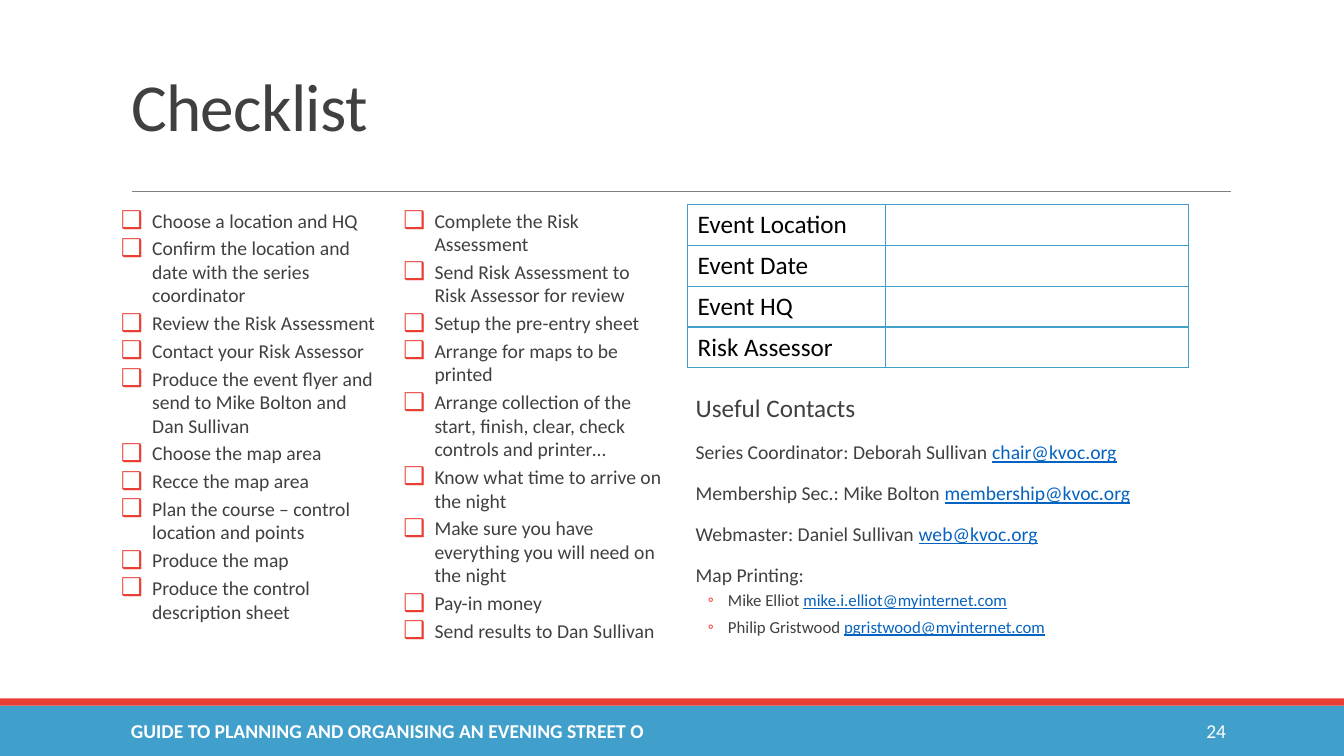
from lxml import etree
from pptx import Presentation
from pptx.dml.color import RGBColor
from pptx.enum.shapes import MSO_CONNECTOR, MSO_SHAPE
from pptx.enum.text import MSO_ANCHOR, MSO_AUTO_SIZE, PP_ALIGN
from pptx.oxml.ns import qn
from pptx.util import Inches, Pt

BLUE = RGBColor(0x41, 0x9F, 0xCB)
RED = RGBColor(0xE9, 0x3E, 0x33)
GREY = RGBColor(0x80, 0x80, 0x80)
DARK = RGBColor(0x40, 0x40, 0x40)
LINK = RGBColor(0x05, 0x63, 0xC1)
BLACK = RGBColor(0, 0, 0)
WHITE = RGBColor(0xFF, 0xFF, 0xFF)
FONT = "Calibri"

TITLE = "Checklist"
TASKS = [
    "Choose a location and HQ",
    "Confirm the location and date with the series coordinator",
    "Review the Risk Assessment",
    "Contact your Risk Assessor",
    "Produce the event flyer and send to Mike Bolton and Dan Sullivan",
    "Choose the map area",
    "Recce the map area",
    "Plan the course – control location and points",
    "Produce the map",
    "Produce the control description sheet",
    "Complete the Risk Assessment",
    "Send Risk Assessment to Risk Assessor for review",
    "Setup the pre-entry sheet",
    "Arrange for maps to be printed",
    "Arrange collection of the start, finish, clear, check controls and printer…",
    "Know what time to arrive on the night",
    "Make sure you have everything you will need on the night",
    "Pay-in money",
    "Send results to Dan Sullivan",
]
CONTACTS = [
    ("Series Coordinator: Deborah Sullivan ", "chair@kvoc.org"),
    ("Membership Sec.: Mike Bolton ", "membership@kvoc.org"),
    ("Webmaster: Daniel Sullivan ", "web@kvoc.org"),
    ("Map Printing:", ""),
]
PRINTERS = [
    ("Mike Elliot ", "mike.i.elliot@myinternet.com"),
    ("Philip Gristwood ", "pgristwood@myinternet.com"),
]
EVENT_FIELDS = ["Event Location", "Event Date", "Event HQ", "Risk Assessor"]
FIELD_WIDTHS = [1.96, 3.01]
FOOTER = "GUIDE TO PLANNING AND ORGANISING AN EVENING STREET O"
PAGE_NUMBER = "24"


def add_span(para, text, size, color=DARK, bold=False, underline=False):
    """Add one formatted run."""
    span = para.add_run()
    span.text = text
    font = span.font
    font.name, font.size, font.bold = FONT, Pt(size), bold
    font.underline = underline
    font.color.rgb = color
    return span


def add_box(page, left, top, width, height, anchor=MSO_ANCHOR.TOP, side=0.1):
    """Add a wrapping text box and return its frame."""
    frame = page.shapes.add_textbox(
        Inches(left), Inches(top), Inches(width), Inches(height)).text_frame
    frame.word_wrap = True
    frame.vertical_anchor = anchor
    frame.margin_left = frame.margin_right = Inches(side)
    return frame


def next_para(frame):
    """Return the unused first paragraph or a new one."""
    first = frame.paragraphs[0]
    return frame.add_paragraph() if first.runs else first


def set_bullet(para, char, margin, hang, percent=100):
    """Give a paragraph a red bullet and a hanging indent."""
    props = para._p.get_or_add_pPr()
    props.set("marL", str(Inches(margin)))
    props.set("indent", str(-Inches(hang)))
    color = etree.SubElement(props, qn("a:buClr"))
    etree.SubElement(color, qn("a:srgbClr"), val=str(RED))
    etree.SubElement(props, qn("a:buSzPct"), val=str(percent * 1000))
    etree.SubElement(props, qn("a:buFont"), typeface=FONT)
    etree.SubElement(props, qn("a:buChar"), char=char)


def add_bar(page, top, height, color):
    """Add a full-width footer bar."""
    bar = page.shapes.add_shape(
        MSO_SHAPE.RECTANGLE, 0, Inches(top), Inches(13.33), Inches(height))
    bar.shadow.inherit = False
    bar.fill.solid()
    bar.fill.fore_color.rgb = color
    bar.line.fill.background()


def add_title(page):
    """Place the title and the rule below it."""
    rule = page.shapes.add_connector(
        MSO_CONNECTOR.STRAIGHT, Inches(1.31), Inches(1.9), Inches(12.21), Inches(1.9))
    rule.line.color.rgb = GREY
    rule.line.width = Pt(0.5)
    etree.SubElement(rule._element.spPr, qn("a:effectLst"))
    title = page.shapes.title
    title.left, title.top = Inches(1.2), Inches(0.31)
    title.width, title.height = Inches(11), Inches(1.59)
    frame = title.text_frame
    frame.auto_size = MSO_AUTO_SIZE.NONE
    frame.vertical_anchor = MSO_ANCHOR.MIDDLE
    para = frame.paragraphs[0]
    para.alignment = PP_ALIGN.LEFT
    para.line_spacing = 0.85
    span = add_span(para, TITLE, 48)
    span.font._element.set("spc", "-50")


def add_checklist(page):
    """Add the tasks in two text columns."""
    frame = add_box(page, 1.2, 2.02, 5.4, 4.4, side=0)
    body = frame._txBody.bodyPr
    body.set("numCol", "2")
    body.set("spcCol", str(Inches(0.2)))
    for task in TASKS:
        para = next_para(frame)
        para.space_before = Pt(3)
        set_bullet(para, "❑", 0.31, 0.31, 125)
        add_span(para, task, 14)


def add_contacts(page):
    """Add the contact list with its e-mail addresses."""
    frame = add_box(page, 6.8, 3.88, 5.4, 2.54, side=0)
    rows = [("Useful Contacts", "", 18, 0)]
    rows += [(*contact, 14, 0) for contact in CONTACTS]
    rows += [(*printer, 12, 1) for printer in PRINTERS]
    for label, email, size, level in rows:
        para = next_para(frame)
        para.level = level
        para.line_spacing = 0.9
        para.space_before = Pt(2 if level else 12)
        para.space_after = Pt(4 if level else 2)
        set_bullet(para, *(("◦", 0.42, 0.2) if level else (" ", 0.1, 0.1)))
        add_span(para, label, size)
        if email:
            add_span(para, email, size, LINK, underline=True)


def set_borders(cell):
    """Draw a thin blue line on each side of a cell."""
    props = cell._tc.get_or_add_tcPr()
    for index, side in enumerate(("lnL", "lnR", "lnT", "lnB")):
        line = etree.Element(qn("a:" + side), w=str(Pt(1)))
        fill = etree.SubElement(line, qn("a:solidFill"))
        etree.SubElement(fill, qn("a:srgbClr"), val=str(BLUE))
        props.insert(index, line)


def add_event_table(page):
    """Add the event details form."""
    table = page.shapes.add_table(
        len(EVENT_FIELDS), 2, Inches(6.82), Inches(2.03),
        Inches(sum(FIELD_WIDTHS)), Inches(1.62)).table
    table.first_row = table.horz_banding = False
    for column, width in zip(table.columns, FIELD_WIDTHS):
        column.width = Inches(width)
    for row, field in enumerate(EVENT_FIELDS):
        add_span(table.cell(row, 0).text_frame.paragraphs[0], field, 18, BLACK)
    for cell in table.iter_cells():
        cell.fill.background()
        set_borders(cell)


def main():
    """Build the checklist slide."""
    deck = Presentation()
    deck.slide_width, deck.slide_height = Inches(13.33), Inches(7.5)
    page = deck.slides.add_slide(deck.slide_layouts[5])
    add_bar(page, 7, 0.5, BLUE)
    add_bar(page, 6.93, 0.07, RED)
    add_title(page)
    add_checklist(page)
    add_contacts(page)
    footer = add_box(page, 1.2, 7.05, 8.11, 0.4, MSO_ANCHOR.MIDDLE)
    add_span(footer.paragraphs[0], FOOTER, 14, WHITE, bold=True)
    number = add_box(page, 10.83, 7.05, 1.43, 0.4, MSO_ANCHOR.MIDDLE).paragraphs[0]
    number.alignment = PP_ALIGN.RIGHT
    add_span(number, PAGE_NUMBER, 14, WHITE)
    add_event_table(page)
    deck.save("out.pptx")


if __name__ == "__main__":
    main()
